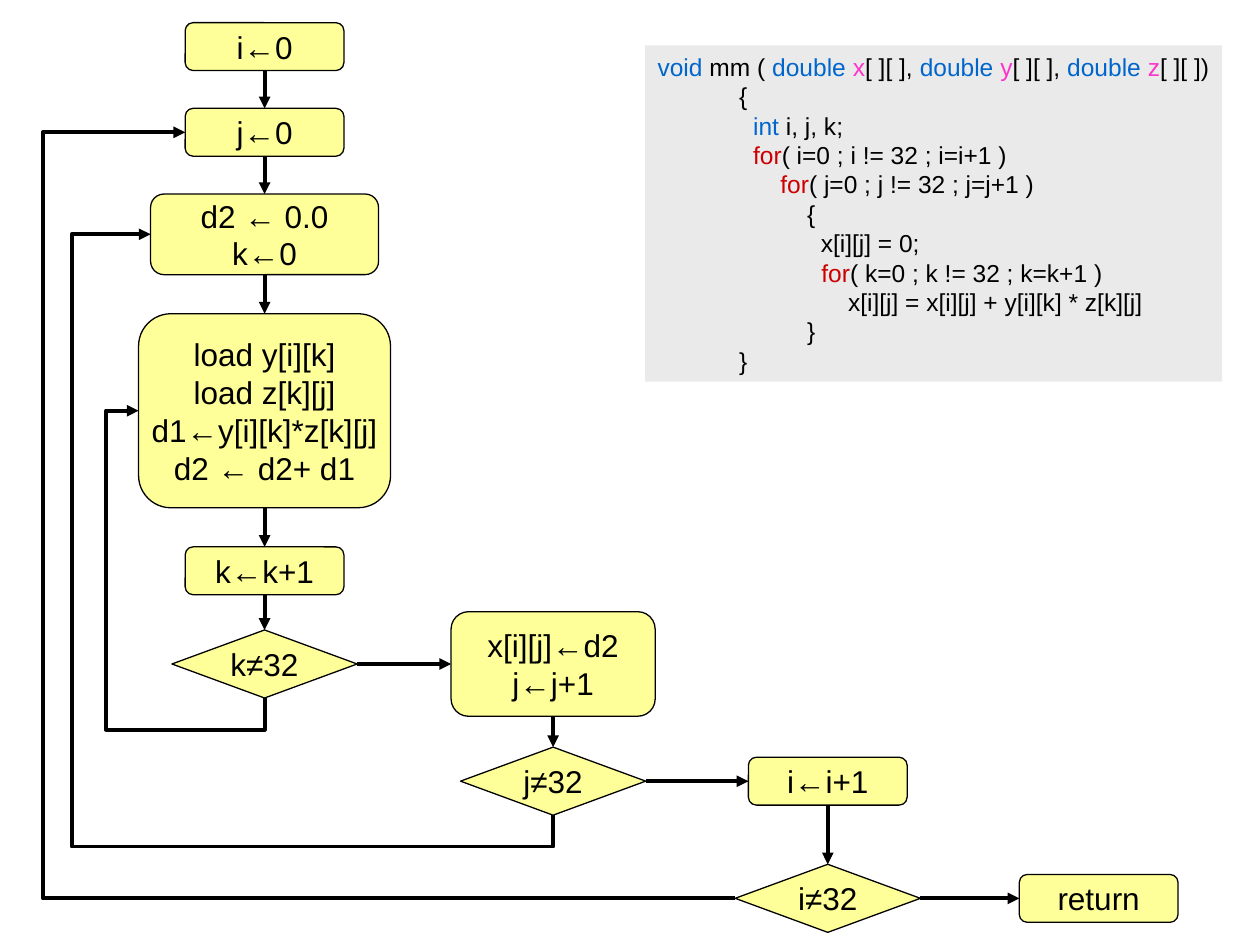
from lxml import etree
from pptx import Presentation
from pptx import util as u
from pptx.dml.color import RGBColor
from pptx.enum import shapes, text
from pptx.oxml import ns

BLACK = RGBColor(0x00, 0x00, 0x00)
YELLOW = RGBColor(0xFF, 0xFF, 0x99)
GREY = RGBColor(0xEA, 0xEA, 0xEA)
BLUE = RGBColor(0x00, 0x66, 0xCC)
RED = RGBColor(0xCC, 0x00, 0x00)
PINK = RGBColor(0xFF, 0x33, 0xCC)
CODE_COLOURS = {"void": BLUE, "double": BLUE, "int": BLUE, "for": RED,
                "x": PINK, "y": PINK, "z": PINK}

TOP, LEFT, BOTTOM, RIGHT = range(4)
STEP = shapes.MSO_SHAPE.ROUNDED_RECTANGLE
TEST = shapes.MSO_SHAPE.FLOWCHART_DECISION
K_COLUMN, J_COLUMN, I_COLUMN, END_COLUMN = 2.1, 4.39, 6.57, 8.72
K_ROW, J_ROW, I_ROW = 5.27, 6.2, 7.13
SMALL, DIAMOND = (1.26, 0.38), (1.47, 0.54)

FRAME_FORMAT = {"word_wrap": False, "vertical_anchor": text.MSO_ANCHOR.MIDDLE,
                "margin_left": u.Inches(0.1), "margin_right": u.Inches(0.1),
                "margin_top": u.Inches(0.05), "margin_bottom": u.Inches(0.05)}

prs = Presentation()
prs.slide_width, prs.slide_height = u.Inches(10), u.Inches(7.5)
slide = prs.slides.add_slide(prs.slide_layouts[6])


def write_lines(frame, lines, size, align):
    """Fill a frame line by line; '|' separates runs coloured by CODE_COLOURS."""
    for name, value in FRAME_FORMAT.items():
        setattr(frame, name, value)
    for number, line in enumerate(lines):
        paragraph = frame.add_paragraph() if number else frame.paragraphs[0]
        paragraph.alignment = align
        for piece in line.split("|"):
            run = paragraph.add_run()
            run.text = piece
            run.font.name, run.font.size = "Arial", u.Pt(size)
            run.font.color.rgb = CODE_COLOURS.get(piece.strip(), BLACK)


def connect(kind, source, source_side, target, target_side):
    arrow = slide.shapes.add_connector(kind, 0, 0, 0, 0)
    arrow.begin_connect(nodes[source], source_side)
    arrow.end_connect(nodes[target], target_side)
    arrow.line.color.rgb, arrow.line.width = BLACK, u.Pt(2.25)
    etree.SubElement(arrow.line._get_or_add_ln(), ns.qn("a:tailEnd"), type="triangle")
    etree.SubElement(arrow._element.spPr, ns.qn("a:effectLst"))
    return arrow


# Flowchart steps and tests: key, shape, column centre, row centre, size, lines
FLOW = [
    ("i start", STEP, K_COLUMN, 0.37, SMALL, ["i←0"]),
    ("j start", STEP, K_COLUMN, 1.05, SMALL, ["j←0"]),
    ("k start", STEP, K_COLUMN, 1.86, (1.81, 0.64), ["d2 ← 0.0", "k←0"]),
    ("multiply", STEP, K_COLUMN, 3.26, (2, 1.54),
     ["load y[i][k]", "load z[k][j]", "d1←y[i][k]*z[k][j]", "d2 ← d2+ d1"]),
    ("k next", STEP, K_COLUMN, 4.53, SMALL, ["k←k+1"]),
    ("k test", TEST, K_COLUMN, K_ROW, DIAMOND, ["k≠32"]),
    ("j next", STEP, J_COLUMN, K_ROW, (1.62, 0.83), ["x[i][j]←d2", "j←j+1"]),
    ("j test", TEST, J_COLUMN, J_ROW, DIAMOND, ["j≠32"]),
    ("i next", STEP, I_COLUMN, J_ROW, SMALL, ["i←i+1"]),
    ("i test", TEST, I_COLUMN, I_ROW, DIAMOND, ["i≠32"]),
    ("return", STEP, END_COLUMN, I_ROW, SMALL, ["return"]),
]
nodes = {}
for key, form, centre_x, centre_y, (width, height), lines in FLOW:
    node = slide.shapes.add_shape(
        form, u.Inches(centre_x - width / 2), u.Inches(centre_y - height / 2),
        u.Inches(width), u.Inches(height))
    node.shadow.inherit = False
    node.fill.solid()
    node.fill.fore_color.rgb = YELLOW
    node.line.color.rgb, node.line.width = BLACK, u.Pt(0.75)
    write_lines(node.text_frame, lines, 18, text.PP_ALIGN.CENTER)
    nodes[key] = node

# Forward arrows: across within a row, otherwise down
for before, after in zip(FLOW, FLOW[1:]):
    sides = (RIGHT, LEFT) if before[3] == after[3] else (BOTTOM, TOP)
    connect(shapes.MSO_CONNECTOR.STRAIGHT, before[0], sides[0], after[0], sides[1])

# Loops back: source, side it leaves from, target, x of the return lane, drop
LOOPS = [("k test", BOTTOM, "multiply", 0.84, 0.25),
         ("j test", BOTTOM, "k start", 0.57, 0.25),
         ("i test", LEFT, "j start", 0.34, 0)]
for source, side, target, lane, drop in LOOPS:
    loop = connect(shapes.MSO_CONNECTOR.ELBOW, source, side, target, LEFT)
    start_x, start_y, end_x, end_y = loop.begin_x, loop.begin_y, loop.end_x, loop.end_y
    across, up = start_x - end_x, start_y - end_y
    lane_share = (start_x - u.Inches(lane)) / across
    if side == BOTTOM:
        preset, turn, flip = "bentConnector4", 270, "1"
        width, height = up, across
        shares = [-u.Inches(drop) / up, lane_share]
    else:
        preset, turn, flip = "bentConnector3", 180, "0"
        width, height = across, up
        shares = [lane_share]
    loop.left = (start_x + end_x - width) // 2
    loop.top = (start_y + end_y - height) // 2
    loop.width, loop.height = width, height
    frame = loop._element.spPr.find(ns.qn("a:xfrm"))
    for name, value in {"rot": str(turn * 60000), "flipH": "0", "flipV": flip}.items():
        frame.set(name, value)
    geometry = loop._element.spPr.find(ns.qn("a:prstGeom"))
    geometry.set("prst", preset)
    guides = geometry.find(ns.qn("a:avLst"))
    if guides is None:
        guides = etree.SubElement(geometry, ns.qn("a:avLst"))
    for number, share in enumerate(shares, 1):
        etree.SubElement(guides, ns.qn("a:gd"), name=f"adj{number}",
                         fmla=f"val {round(share * 100000)}")

# The program that the flowchart follows
CODE = [
    "void| mm ( |double |x|[ ][ ], |double| y|[ ][ ], |double| z|[ ][ ])",
    "            {",
    "              |int |i, j, k;",
    "              |for|( i=0 ; i != 32 ; i=i+1 )",
    "                  |for|( j=0 ; j != 32 ; j=j+1 )",
    "                      {",
    "                        x[i][j] = 0;",
    "                        |for|( k=0 ; k != 32 ; k=k+1 )",
    "                            x[i][j] = x[i][j] + y[i][k] * z[k][j]",
    "                      }",
    "            }",
]
listing = slide.shapes.add_textbox(u.Inches(5.12), u.Inches(0.36),
                                   u.Inches(4.58), u.Inches(2.67))
listing.fill.solid()
listing.fill.fore_color.rgb = GREY
write_lines(listing.text_frame, CODE, 14, text.PP_ALIGN.LEFT)
listing.text_frame.auto_size = text.MSO_AUTO_SIZE.SHAPE_TO_FIT_TEXT

prs.save("out.pptx")
